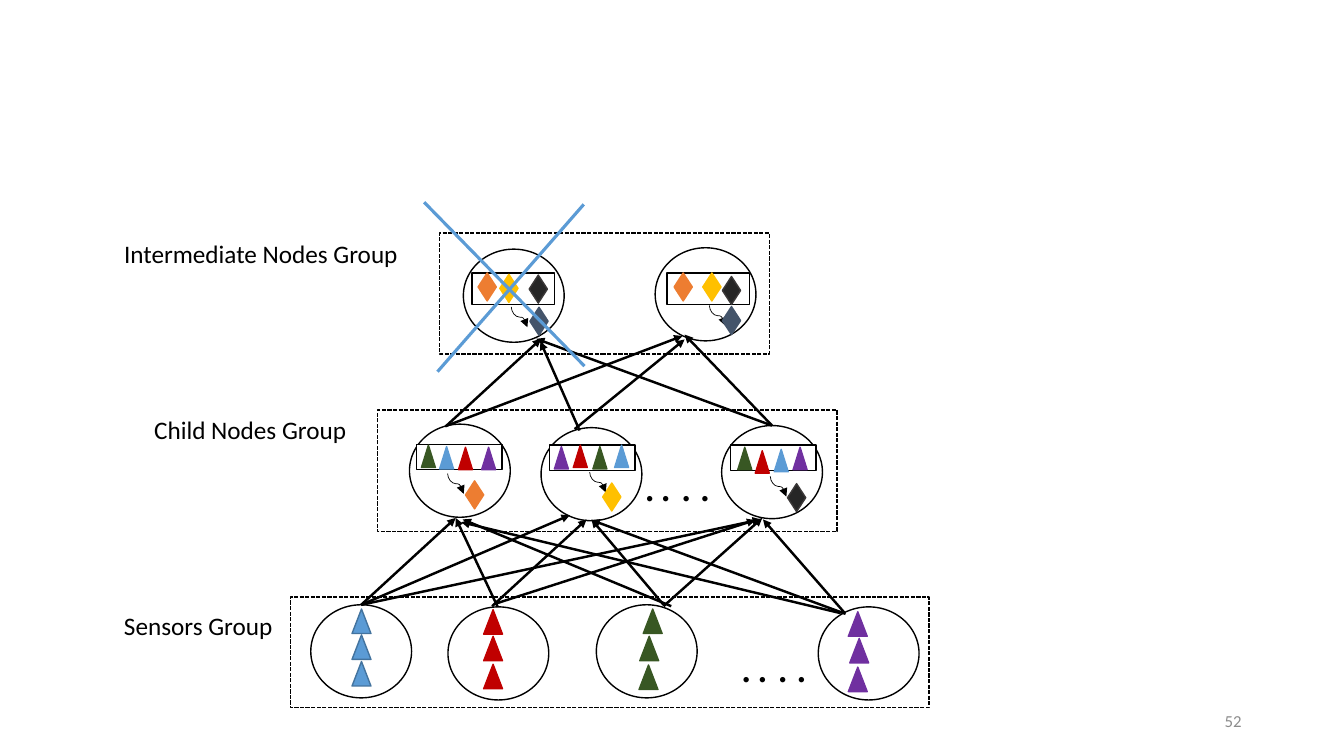
from lxml import etree
from pptx import Presentation
from pptx.dml.color import RGBColor as Rgb
from pptx.enum.dml import MSO_LINE as Dash
from pptx.enum.shapes import MSO_CONNECTOR as Conn, MSO_SHAPE as Kind
from pptx.enum.text import MSO_ANCHOR as Anchor, MSO_AUTO_SIZE as Fit, PP_ALIGN as Align
from pptx.oxml.ns import qn
from pptx.util import Pt

HUES = {"white": "FFFFFF", "black": "000000", "gray": "8C8C8C",
        "blue": "5B9BD5", "navy": "43739E", "red": "C00000",
        "green": "385723", "purple": "7030A0", "orange": "ED7D31",
        "gold": "FFC000", "coal": "262626", "ash": "3B3838", "slate": "44546A"}

# Groups: box, circle corners, first dot of the ellipsis
GROUPS = [
    ((207.5, 426.5, 456, 79),
     [(426, 432), (222, 432), (320, 433.5), (584.5, 433.5)], (522, 452)),
    ((269.5, 293, 328.5, 86.5),
     [(292.5, 303), (386.5, 305.5), (515.5, 304)], (453, 322.5)),
    ((314, 166.5, 235.5, 86.5), [(331, 178), (468, 177)], None),
]
CIRCLE = (72, 66.5)
DOTS = (0, 11.5, 26, 39.5)

# Arrows: start and end points
ARROWS = [
    # Sensors to child nodes
    (258, 432, 325.5, 370), (258, 432, 407, 368), (258, 432, 543.5, 371),
    (351.5, 433, 419, 371), (355.5, 433.5, 325.5, 370), (353, 431.5, 539.5, 371.5),
    (474, 433, 544.5, 370), (474, 432, 422.5, 371), (479.5, 433, 330.5, 371),
    (603.5, 438, 545, 371), (600.5, 438, 329.5, 373), (604, 438.5, 422.5, 371.5),
    # Child to intermediate nodes
    (319, 304, 386.5, 242), (318, 304.5, 487.5, 240),
    (551.5, 304, 489, 239), (551.5, 304, 383, 242),
    (414, 307.5, 386, 244), (410.5, 306.5, 489, 242.5),
]
CROSS = [(303, 144.5, 417.5, 261.5), (417, 146, 312.5, 265.5)]

LABELS = [
    ("Sensors Group", (81.5, 432.5, 121.5, 51)),
    ("Child Nodes Group", (103, 292.5, 153.5, 29)),
    ("Intermediate Nodes Group", (81.5, 166.5, 212.5, 51)),
]
NUMBER = ("52", (678, 500.5, 216, 29))

# Sensor readings by colour
READINGS = {
    "blue": [(251.5, 435), (251.5, 453.5), (251.5, 472.5)],
    "red": [(345.5, 435.5), (345.5, 454.5), (345.5, 474.5)],
    "green": [(459.5, 435), (457, 454.5), (456.5, 475)],
    "purple": [(606, 437), (607, 456), (606, 476.5)],
}
READING = (13.5, 17.5)

# Nodes: tray corner, items in it, centre of the curved arrow, result
CHILDREN = [
    ((297.5, 317.5),
     {"green": (301, 318), "blue": (314, 319), "red": (327.5, 319.5), "purple": (344, 319.5)},
     (325.5, 345.5), ("orange", (332.5, 343.5))),
    ((392.5, 318),
     {"green": (423.5, 319), "blue": (439, 318), "red": (409.5, 318), "purple": (396, 319)},
     (427, 344.5), ("gold", (430.5, 345))),
    ((522, 318),
     {"green": (527, 319.5), "blue": (553, 321), "red": (539.5, 322), "purple": (566.5, 319.5)},
     (556, 347.5), ("coal", (562.5, 345.5))),
]
MIDDLE = [
    ((337, 195), {"orange": (341.5, 195), "gold": (357, 196), "coal": (378, 196.5)},
     (371, 226.5), ("slate", (378.5, 219.5))),
    ((476.5, 195), {"orange": (481.5, 195), "gold": (502, 195), "coal": (516, 197.5)},
     (512.5, 225.5), ("slate", (516, 219))),
]
GEM = (13, 20)
LEVELS = [(CHILDREN, (61, 18), Kind.ISOSCELES_TRIANGLE, (10, 16)),
          (MIDDLE, (59, 22.5), Kind.DIAMOND, GEM)]
CURVE = (14.5, 11.5)

deck = Presentation()
deck.slide_width, deck.slide_height = Pt(960), Pt(540)
slide = deck.slides.add_slide(deck.slide_layouts[6])
shapes = slide.shapes


def color(name):
    return Rgb.from_string(HUES[name])


def assign(item, **values):
    for key, value in values.items():
        setattr(item, key, value)


def draw(kind, spot, size, fill="white", edge="black", dash=None):
    shape = shapes.add_shape(kind, *map(Pt, (*spot, *size)))
    shape.shadow.inherit = False
    shape.fill.solid()
    shape.fill.fore_color.rgb = color(fill)
    shape.line.color.rgb = color(edge)
    assign(shape.line, width=Pt(1), dash_style=dash)


def link(ends, width, hue="black", kind=Conn.STRAIGHT, head=True):
    line = shapes.add_connector(kind, *map(Pt, ends))
    line.line.color.rgb = color(hue)
    line.line.width = Pt(width)
    if head:
        etree.SubElement(line.line._get_or_add_ln(), qn("a:tailEnd"), type="triangle")
    etree.SubElement(line._element.spPr, qn("a:effectLst"))
    return line


def write(text, place, size, hue="black", align=Align.LEFT, **frame):
    box = shapes.add_textbox(*map(Pt, place)).text_frame
    assign(box, **frame)
    para = box.paragraphs[0]
    para.alignment = align
    run = para.add_run()
    run.text = text
    assign(run.font, name="Calibri", size=Pt(size))
    run.font.color.rgb = color(hue)


GROW = {"word_wrap": False, "auto_size": Fit.SHAPE_TO_FIT_TEXT}

# Group boxes, circles and ellipses of dots
for box, nodes, dot in GROUPS:
    draw(Kind.RECTANGLE, box[:2], box[2:], dash=Dash.SQUARE_DOT)
    for node in nodes:
        draw(Kind.OVAL, node, CIRCLE)
    if dot:
        for step in DOTS:
            write(".", (dot[0] + step, dot[1], 23, 46), 32, **GROW)

# Arrows between groups
for ends in ARROWS:
    link(ends, 1.75)

# Group labels
for text, place in LABELS:
    write(text, place, 18, **GROW)

# Sensor readings
for hue, spots in READINGS.items():
    for spot in spots:
        draw(Kind.ISOSCELES_TRIANGLE, spot, READING, hue, "navy" if hue == "blue" else hue)

# Trays, their items, curved arrows and results
edges = {"coal": "ash"}
for nodes, tray, kind, size in LEVELS:
    for corner, items, (x, y), (hue, spot) in nodes:
        draw(Kind.RECTANGLE, corner, tray)
        for name, place in items.items():
            draw(kind, place, size, name, edges.get(name, name))
        dx, dy = CURVE[0] / 2, CURVE[1] / 2
        curve = link((x + dx, y - dy, x - dx, y + dy), 0.5, kind=Conn.CURVE)
        curve._element.spPr.xfrm.set("rot", str(270 * 60000))
        draw(Kind.DIAMOND, spot, GEM, hue, edges.get(hue, hue))

# Cross over the failed node
for ends in CROSS:
    link(ends, 2.25, "blue", head=False)

# Slide number
write(*NUMBER, 12, "gray", Align.RIGHT, word_wrap=True, vertical_anchor=Anchor.MIDDLE)

deck.save("out.pptx")
